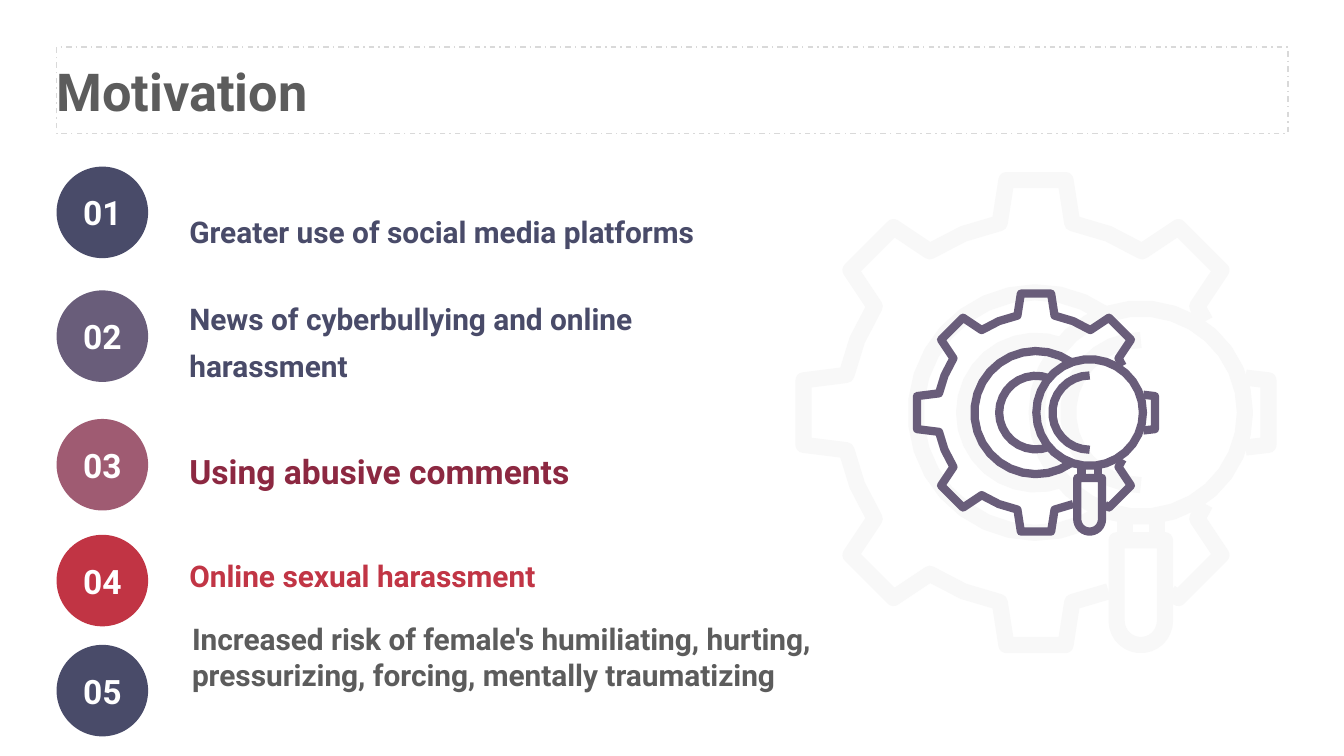
from dataclasses import dataclass
from math import cos, radians, sin

from pptx import Presentation
from pptx.dml.color import RGBColor
from pptx.enum.dml import MSO_LINE_DASH_STYLE as DASH
from pptx.enum.shapes import MSO_SHAPE as SHAPE
from pptx.enum.text import MSO_ANCHOR as ANCHOR, MSO_AUTO_SIZE as AUTOSIZE, PP_ALIGN as ALIGN
from pptx.util import Cm, Pt


@dataclass(frozen=True)
class Theme:
    font: str = "Roboto"
    gray: str = "5C5C5C"
    frame: str = "D9D9D9"
    white: str = "FFFFFF"
    navy: str = "494B69"
    purple: str = "695D7A"
    mauve: str = "9F5B72"
    wine: str = "8C2841"
    red: str = "C13444"
    red_text: str = "C13545"
    pale: str = "F8F8F8"
    title_size: int = 28
    large_size: int = 18
    body_size: int = 16


THEME = Theme()
NO_INSETS = (0, 0, 0, 0)
BADGES = [("01", 3.15, THEME.navy), ("02", 5.49, THEME.purple),
          ("03", 7.92, THEME.mauve), ("04", 10.11, THEME.red),
          ("05", 12.19, THEME.navy)]
REASONS = [
    ("Greater use of social media platforms", THEME.navy, THEME.body_size,
     (3.58, 2.51, 10.24, 2.51), (0, 1.04, 0, 0), 1.3),
    ("News of cyberbullying and online harassment", THEME.navy, THEME.body_size,
     (3.58, 5.56, 8.66, 2.26), (0, 0, 0, 0.64), 1.3),
    ("Using abusive comments", THEME.wine, THEME.large_size,
     (3.58, 7.8, 8.46, 1.98), NO_INSETS, 1.3),
    ("Online sexual harassment", THEME.red_text, THEME.body_size,
     (3.58, 10.34, 8.46, 0.89), NO_INSETS, 1.3),
    ("Increased risk of female's humiliating, hurting, pressurizing, forcing, "
     "mentally traumatizing", THEME.gray, THEME.body_size,
     (3.38, 11.61, 12.57, 2.29), (0.25, 0.13, 0.25, 0.13), None),
]

LENS_X = 0.78
TEETH = [(0.22, -1.73), (0.27, -1.41), (0.54, -1.33), (0.79, -1.2),
         (1.06, -1.38), (1.38, -1.06), (1.2, -0.79)]
SIDE = [(1.33, -0.54), (1.41, -0.28), (1.73, -0.24)]


def arc(cx, cy, r, start, end):
    steps = round(abs(end - start) / 12)
    angles = [radians(start + (end - start) * i / steps) for i in range(steps + 1)]
    return [(cx + r * cos(a), cy + r * sin(a)) for a in angles]


def flip(points, sx, sy):
    return [(sx * x, sy * y) for x, y in points]


def search_gear():
    rim = ([(1.26, -0.68)] + TEETH[::-1] + flip(TEETH + SIDE, -1, 1)
           + flip(TEETH + SIDE, -1, -1)[::-1] + flip(TEETH[:3], 1, -1))
    corner = [(1.26, 0.68)] + flip(TEETH[:3:-1], 1, -1) + [(1, 1.34)]
    tooth = [(1.56, -0.26), (1.73, -0.24), (1.73, 0.24), (1.56, 0.26)]
    ring = arc(0, 0, 0.895, 305, 55)
    hub = arc(0, 0, 0.535, 291, 69)
    lens = arc(LENS_X, 0, 0.775, 0, 360)
    glint = arc(LENS_X, 0, 0.54, 90, 270)
    neck = [[(x, 0.8), (x, 0.95)] for x in (0.66, 0.9)]
    handle = [(0.6, 0.95), (0.96, 0.95)] + arc(LENS_X, 1.55, 0.18, 0, 180) + [(0.6, 0.95)]
    return [rim, corner, tooth, ring, hub, lens, glint, *neck, handle]


def rgb(color):
    return RGBColor.from_string(color)


def place(sp, box):
    sp.left, sp.top, sp.width, sp.height = map(Cm, box)


def write(sp, text, size, color, insets=NO_INSETS, anchor=ANCHOR.MIDDLE,
          align=ALIGN.LEFT, spacing=None):
    tf = sp.text_frame
    tf.word_wrap = True
    tf.auto_size = AUTOSIZE.NONE
    tf.vertical_anchor = anchor
    tf.margin_left, tf.margin_top, tf.margin_right, tf.margin_bottom = map(Cm, insets)
    tf.text = text
    p = tf.paragraphs[0]
    p.alignment = align
    p.line_spacing = spacing
    font = p.runs[0].font
    font.name, font.size, font.bold = THEME.font, Pt(size), True
    font.color.rgb = rgb(color)


def add_title(slide, text):
    sp = slide.shapes.title
    place(sp, (1.07, 0.89, 23.27, 1.63))
    sp.line.color.rgb = rgb(THEME.frame)
    sp.line.width = Pt(0.75)
    sp.line.dash_style = DASH.DASH_DOT
    write(sp, text, THEME.title_size, THEME.gray)


def add_badge(slide, number, top, color):
    sp = slide.shapes.add_shape(SHAPE.OVAL, Cm(1.07), Cm(top), Cm(1.73), Cm(1.73))
    sp.shadow.inherit = False
    sp.line.fill.background()
    sp.fill.solid()
    sp.fill.fore_color.rgb = rgb(color)
    write(sp, number, THEME.large_size, THEME.white, align=ALIGN.CENTER)


def add_reason(slide, text, color, size, box, insets, spacing):
    sp = slide.shapes.add_textbox(*map(Cm, box))
    anchor = ANCHOR.MIDDLE if spacing else ANCHOR.TOP
    write(sp, text, size, color, insets, anchor, spacing=spacing)


def add_search_gear(slide, unit, color):
    strokes = [[(x * 1000, y * 1000) for x, y in s] for s in search_gear()]
    fb = slide.shapes.build_freeform(*strokes[0][0], scale=Cm(unit) / 1000)
    for i, points in enumerate(strokes):
        if i:
            fb.move_to(*points[0])
        fb.add_line_segments(points[1:], close=False)
    sp = fb.convert_to_shape(Cm(19.58), Cm(7.8))
    sp.shadow.inherit = False
    sp.fill.background()
    sp.line.color.rgb = rgb(color)
    sp.line.width = Cm(0.12 * unit)


def main():
    prs = Presentation()
    prs.slide_width, prs.slide_height = Cm(25.4), Cm(14.29)
    slide = prs.slides.add_slide(prs.slide_layouts[5])
    add_title(slide, "Motivation")
    add_search_gear(slide, 2.54, THEME.pale)
    add_search_gear(slide, 1.3, THEME.purple)
    for badge, reason in zip(BADGES, REASONS):
        add_badge(slide, *badge)
        add_reason(slide, *reason)
    prs.save("out.pptx")


if __name__ == "__main__":
    main()
